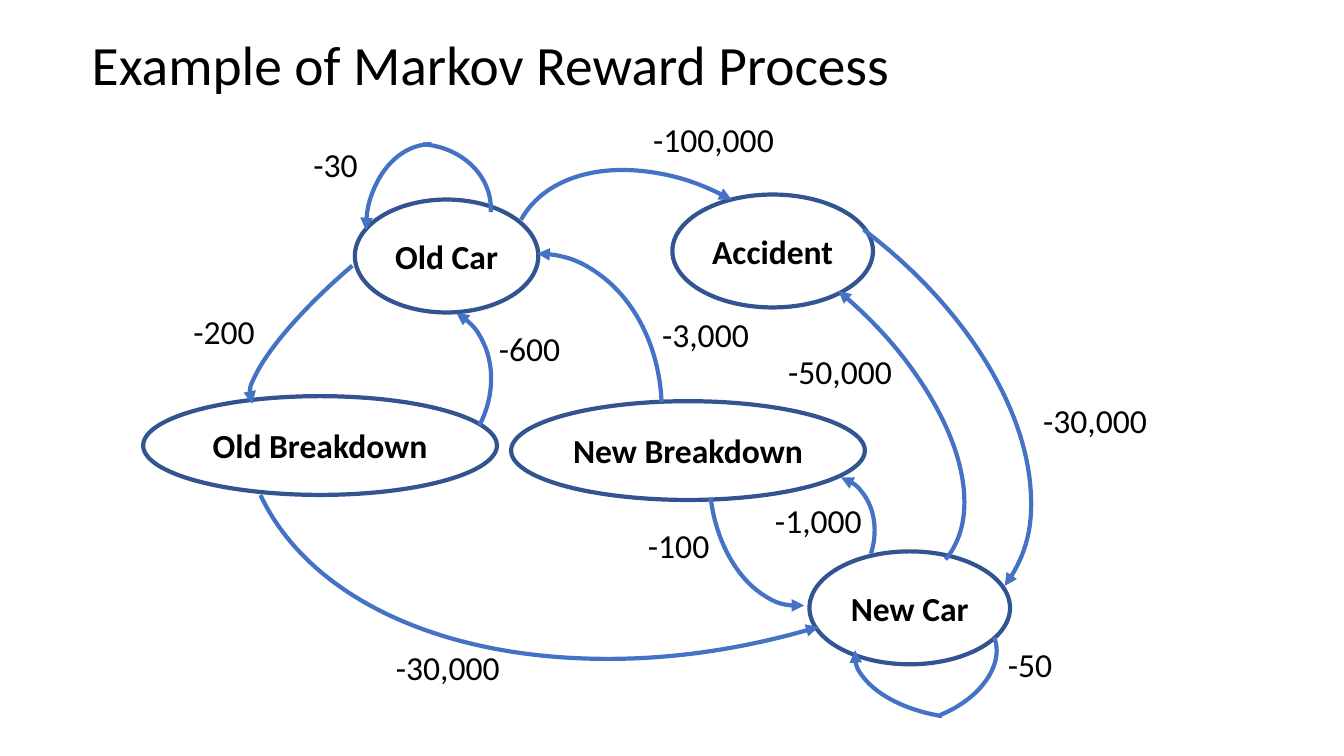
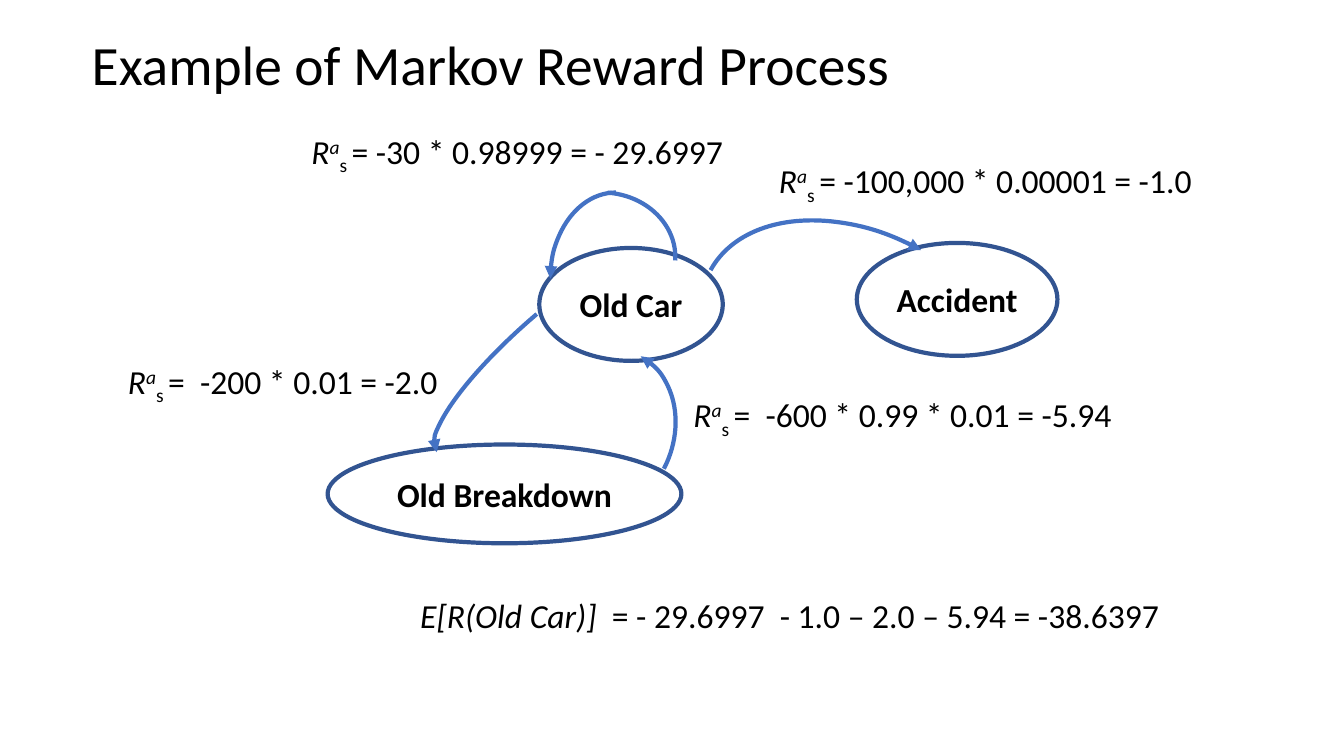
"""Builds two slides on a Markov reward process for car ownership."""
from collections.abc import Iterable
from dataclasses import dataclass, replace

from lxml import etree
from pptx import Presentation
from pptx import util as u
from pptx.dml.color import RGBColor
from pptx.enum import shapes, text
from pptx.oxml.ns import qn

COLORS = {"ink": "000000", "state": "325491", "transition": "4472C4"}
FONT = "Calibri"
HEADING = "Example of Markov Reward Process"
LINE_WIDTH = 3
CELL = u.Inches(0.1)
COLUMNS, ROWS = 133.33, 75


@dataclass(frozen=True)
class Box:
    """A place on the slide, in grid columns and rows."""
    col: float
    row: float
    cols: float
    rows: float

    def moved(self, cols: float, rows: float):
        """Return the same box shifted on the grid."""
        return replace(self, col=self.col + cols, row=self.row + rows)

    def lengths(self) -> list[int]:
        """Return left, top, width and height in EMU."""
        return [round(cells * CELL) for cells in (self.col, self.row, self.cols, self.rows)]


@dataclass(frozen=True)
class State(Box):
    """A named state of the process."""
    name: str


@dataclass(frozen=True)
class Transition(Box):
    """A curved arrow between states."""
    turn: float = 0
    mirrored: bool = True
    arrow: bool = True
    start: float | None = None


@dataclass(frozen=True)
class Term:
    """A stretch of text with its own slant and baseline."""
    words: str
    italic: bool = False
    baseline: int = 0


@dataclass(frozen=True)
class Label(Box):
    """A line of text made of terms."""
    terms: tuple[Term, ...]


LATE_START = 164.08
OLD_CAR = State(35.2, 19.8, 18.2, 11.2, "Old Car")
OLD_BREAKDOWN = State(14.2, 39.3, 35.1, 9.8, "Old Breakdown")
ACCIDENT = State(66.7, 19.3, 19.9, 11.2, "Accident")
NEW_CAR = State(80.3, 54.7, 19.9, 11.2, "New Car")
NEW_BREAKDOWN = State(50.7, 39.8, 35.1, 9.8, "New Breakdown")
OLD_STATES = [OLD_CAR, OLD_BREAKDOWN, ACCIDENT]

OLD_FAILS = Transition(21.1, 25.4, 32.9, 8, 319.6)
OLD_REPAIRED = Transition(31.8, 31.3, 18, 15.1, 119.8, start=LATE_START)
OLD_CRASHES = Transition(55.1, 12.8, 23.6, 34.7, 298.8, mirrored=False)
OLD_KEEPS = [
    Transition(36.3, 14.3, 13, 17.1),
    Transition(35.3, 13.4, 12.5, 14.3, 93.9, arrow=False),
]
OLD_TRANSITIONS = [OLD_FAILS, OLD_REPAIRED, OLD_CRASHES, *OLD_KEEPS]
NEW_TRANSITIONS = [
    Transition(60.9, 13.9, 27.1, 50.6, 130.1),
    Transition(84.7, 60.8, 19.1, 10.3, 188.8, mirrored=False),
    Transition(83.5, 61, 15.7, 10.3, 158.1, arrow=False),
    Transition(75.2, 48.2, 12.6, 10.3, 107.8),
    Transition(66.7, 40.5, 23.4, 15.9, 263.2),
    Transition(37.8, 28.3, 31, 24.7, 90, start=LATE_START),
    Transition(40.9, -17.4, 62.7, 99.1, 253.4, start=LATE_START),
    Transition(41.3, 18.8, 64.9, 39.6, 37, mirrored=False),
]


def reward(col: float, row: float, cols: float, amount: str) -> Label:
    """Return the label of a single reward."""
    return Label(col, row, cols, 5, (Term(amount),))


def expected(col: float, row: float, cols: float, product: str) -> Label:
    """Return the label of a reward weighted by its probability."""
    symbol = Term("R", True), Term("a", True, 30), Term("s ", baseline=-25)
    return Label(col, row, cols, 5, (*symbol, Term(product)))


REWARDS = [
    reward(30.1, 13.8, 13.7, "-30"),
    reward(18.2, 30.4, 13.7, "-200"),
    reward(48.5, 32, 13.7, "-600"),
    reward(38.3, 63.7, 13.7, "-30,000"),
    reward(63.8, 11.3, 15.1, "-100,000"),
    reward(102.5, 39.2, 14.5, "-30,000"),
    reward(77.2, 34.3, 15.7, "-50,000"),
    reward(75.9, 49.1, 13.7, "-1,000"),
    reward(63.3, 51.6, 13.7, "-100"),
    reward(64.7, 30.7, 13.7, "-3,000"),
    reward(99, 63.4, 15.7, "-50"),
]
EXPECTATIONS = [
    expected(29.9, 12.5, 45.7, "= -30 * 0.98999 = - 29.6997"),
    expected(11.7, 35.3, 37, "=  -200 * 0.01 = -2.0"),
    expected(76.3, 15.4, 50.6, "= -100,000 * 0.00001 = -1.0"),
    expected(67.8, 38.6, 47.2, "=  -600 * 0.99 * 0.01 = -5.94"),
    Label(40.7, 58.5, 82.4, 5, (
        Term("E[R(Old Car)]  ", True),
        Term("= - 29.6997  - 1.0 – 2.0 – 5.94 = -38.6397"),
    )),
]


def write(frame, terms: Iterable[Term], *, size: float = 24, bold: bool = False,
          align=text.PP_ALIGN.LEFT, anchor=text.MSO_ANCHOR.TOP, spacing: float = 1.0) -> None:
    """Fill a text frame with one formatted paragraph."""
    frame.word_wrap = True
    frame.vertical_anchor = anchor
    paragraph = frame.paragraphs[0]
    paragraph.alignment = align
    paragraph.line_spacing = spacing
    for term in terms:
        run = paragraph.add_run()
        run.text = term.words
        run.font.name = FONT
        run.font.size = u.Pt(size)
        run.font.bold = bold
        run.font.italic = term.italic
        run.font.color.rgb = RGBColor.from_string(COLORS["ink"])
        if term.baseline:
            run.font._element.set("baseline", str(term.baseline * 1000))


def add_outline(slide, preset, box: Box, color: str):
    """Add an unfilled preset shape with a coloured line."""
    outline = slide.shapes.add_shape(preset, *box.lengths())
    outline.shadow.inherit = False
    outline.fill.background()
    outline.line.color.rgb = RGBColor.from_string(COLORS[color])
    outline.line.width = u.Pt(LINE_WIDTH)
    return outline


def draw_state(slide, state: State) -> None:
    """Draw a state as a labelled ellipse."""
    ellipse = add_outline(slide, shapes.MSO_SHAPE.OVAL, state, "state")
    frame = ellipse.text_frame
    frame.margin_left = frame.margin_right = 0
    write(frame, [Term(state.name)], bold=True, align=text.PP_ALIGN.CENTER,
          anchor=text.MSO_ANCHOR.MIDDLE)


def draw_transition(slide, transition: Transition) -> None:
    """Draw a transition as an arc, with or without an arrowhead."""
    arc = add_outline(slide, shapes.MSO_SHAPE.ARC, transition, "transition")
    arc.rotation = transition.turn
    if transition.start is not None:
        arc.adjustments[0] = transition.start
    if transition.mirrored:
        arc._element.spPr.find(qn("a:xfrm")).set("flipH", "1")
    if transition.arrow:
        line = arc._element.spPr.find(qn("a:ln"))
        etree.SubElement(line, qn("a:tailEnd"), type="triangle")


def draw_label(slide, label: Label) -> None:
    """Draw a label as a text box."""
    box = slide.shapes.add_textbox(*label.lengths())
    box.text_frame.auto_size = text.MSO_AUTO_SIZE.SHAPE_TO_FIT_TEXT
    write(box.text_frame, label.terms)


def add_process_slide(deck, states: Iterable[State], transitions: Iterable[Transition],
                      labels: Iterable[Label]) -> None:
    """Add a titled slide with a diagram of the process."""
    slide = deck.slides.add_slide(deck.slide_layouts.get_by_name("Title Only"))
    heading = slide.shapes.title
    heading.left, heading.top, heading.width, heading.height = Box(8.1, 3.2, 115, 6.9).lengths()
    heading.text_frame.auto_size = text.MSO_AUTO_SIZE.NONE
    write(heading.text_frame, [Term(HEADING)], size=39.6, spacing=0.9,
          anchor=text.MSO_ANCHOR.MIDDLE)
    for state in states:
        draw_state(slide, state)
    for transition in transitions:
        draw_transition(slide, transition)
    for label in labels:
        draw_label(slide, label)


def main() -> None:
    """Build and save the deck."""
    deck = Presentation()
    deck.slide_width, deck.slide_height = round(COLUMNS * CELL), ROWS * CELL
    add_process_slide(deck, [*OLD_STATES, NEW_CAR, NEW_BREAKDOWN],
                      [*OLD_TRANSITIONS, *NEW_TRANSITIONS], REWARDS)
    shift = 18.3, 4.8
    old_car_transitions = [step.moved(*shift) for step in (OLD_FAILS, *OLD_KEEPS)]
    old_car_transitions += [OLD_CRASHES.moved(18.8, 5), OLD_REPAIRED.moved(18.3, 4.3)]
    add_process_slide(deck, [state.moved(*shift) for state in OLD_STATES],
                      old_car_transitions, EXPECTATIONS)
    deck.save("out.pptx")


if __name__ == "__main__":
    main()
